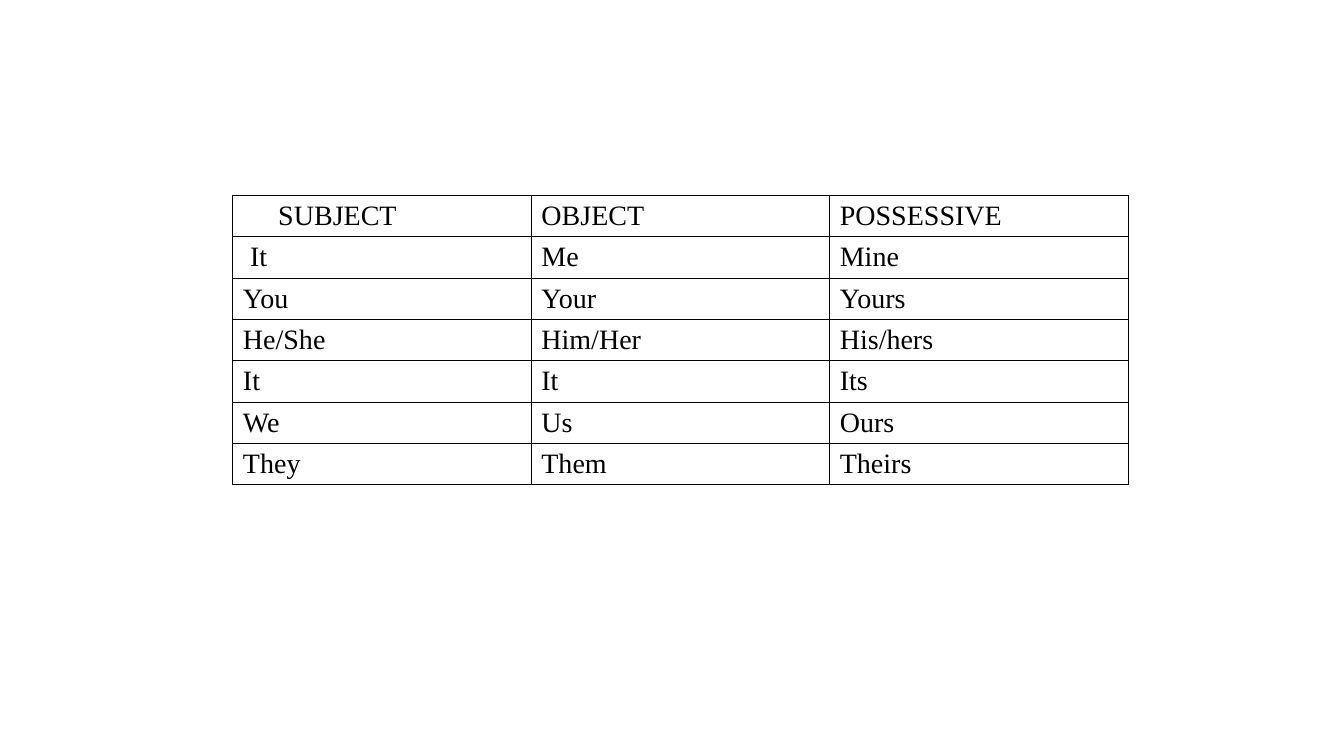
from lxml import etree
from pptx import Presentation
from pptx import util as u
from pptx.dml.color import RGBColor
from pptx.oxml import ns

INK = RGBColor(0x00, 0x00, 0x00)
FONT = "Times New Roman"
COLUMN_WIDTH = u.Inches(2.96)
ROW_HEIGHT = u.Inches(0.41)
MARGIN = 0.1
PRONOUNS = [
    ("SUBJECT", "OBJECT", "POSSESSIVE"),
    ("It", "Me", "Mine"),
    ("You", "Your", "Yours"),
    ("He/She", "Him/Her", "His/hers"),
    ("It", "It", "Its"),
    ("We", "Us", "Ours"),
    ("They", "Them", "Theirs"),
]
INDENTS = {(0, 0): 0.35, (1, 0): 0.07}


def add_borders(cell):
    """Draw a one-point line on all four sides of a cell."""
    properties = cell._tc.get_or_add_tcPr()
    for side in ("a:lnL", "a:lnR", "a:lnT", "a:lnB"):
        line = etree.SubElement(properties, ns.qn(side), w=str(u.Pt(1)))
        fill = etree.SubElement(line, ns.qn("a:solidFill"))
        etree.SubElement(fill, ns.qn("a:srgbClr"), val=str(INK))


def fill_cell(cell, word, indent):
    """Write a word in a bordered, unfilled cell."""
    cell.text = word
    cell.margin_left = u.Inches(MARGIN + indent)
    cell.margin_top = u.Inches(0.05)
    cell.margin_bottom = u.Inches(0.04)
    font = cell.text_frame.paragraphs[0].font
    font.name, font.size, font.bold = FONT, u.Pt(20), False
    font.color.rgb = INK
    add_borders(cell)
    cell.fill.background()


def add_pronoun_table(slide, left, top):
    """Lay out the pronouns on a grid of equal columns and rows."""
    row_count, column_count = len(PRONOUNS), len(PRONOUNS[0])
    table = slide.shapes.add_table(
        row_count, column_count, left, top,
        column_count * COLUMN_WIDTH, row_count * ROW_HEIGHT).table
    table.first_row = table.horz_banding = False
    for row, words in enumerate(PRONOUNS):
        for column, word in enumerate(words):
            fill_cell(table.cell(row, column), word,
                      INDENTS.get((row, column), 0))


def main():
    """Build and save the pronoun slide."""
    deck = Presentation()
    deck.slide_width, deck.slide_height = u.Inches(13.33), u.Inches(7.5)
    slide = deck.slides.add_slide(deck.slide_layouts[6])
    add_pronoun_table(slide, u.Inches(2.31), u.Inches(1.94))
    deck.save("out.pptx")


if __name__ == "__main__":
    main()
